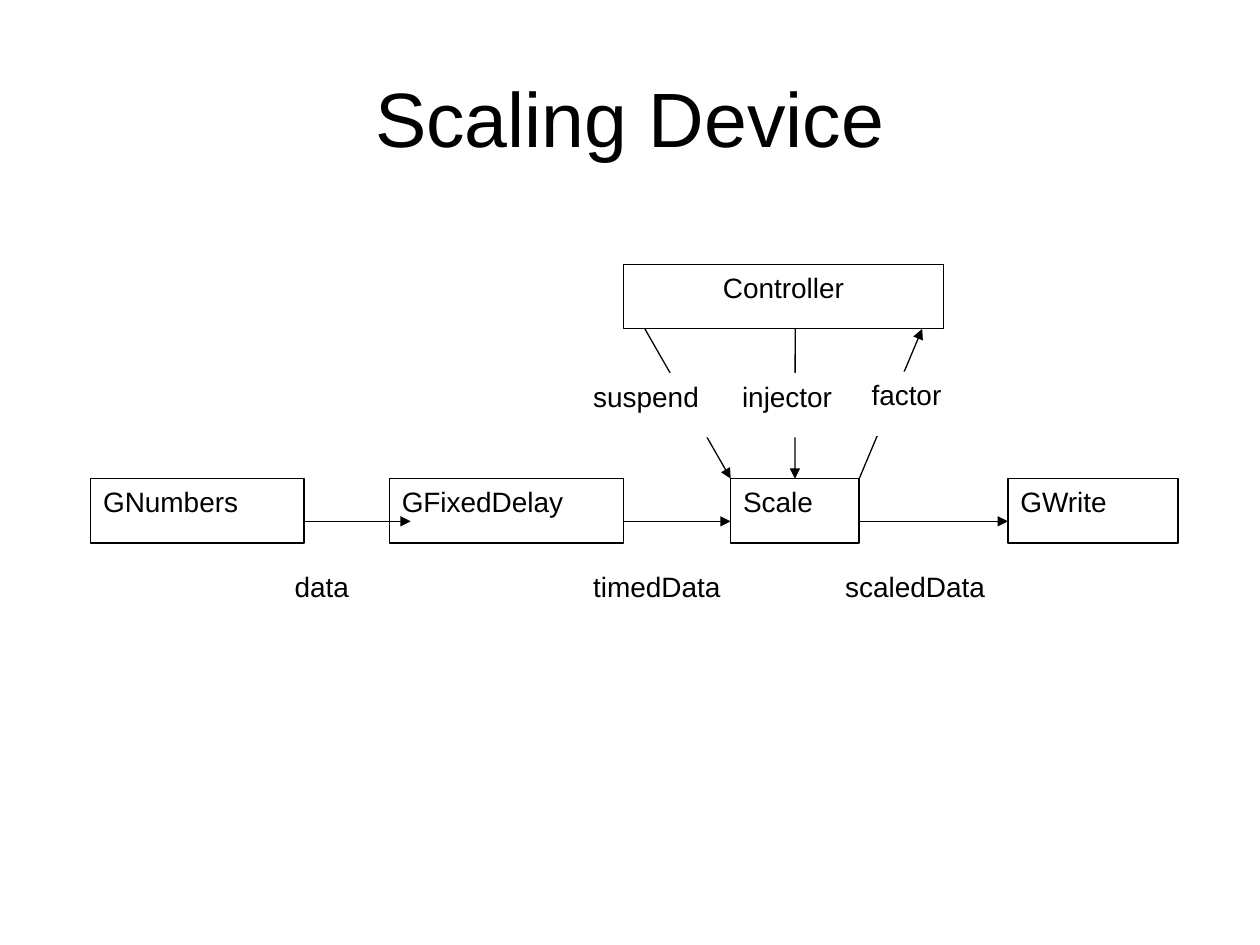
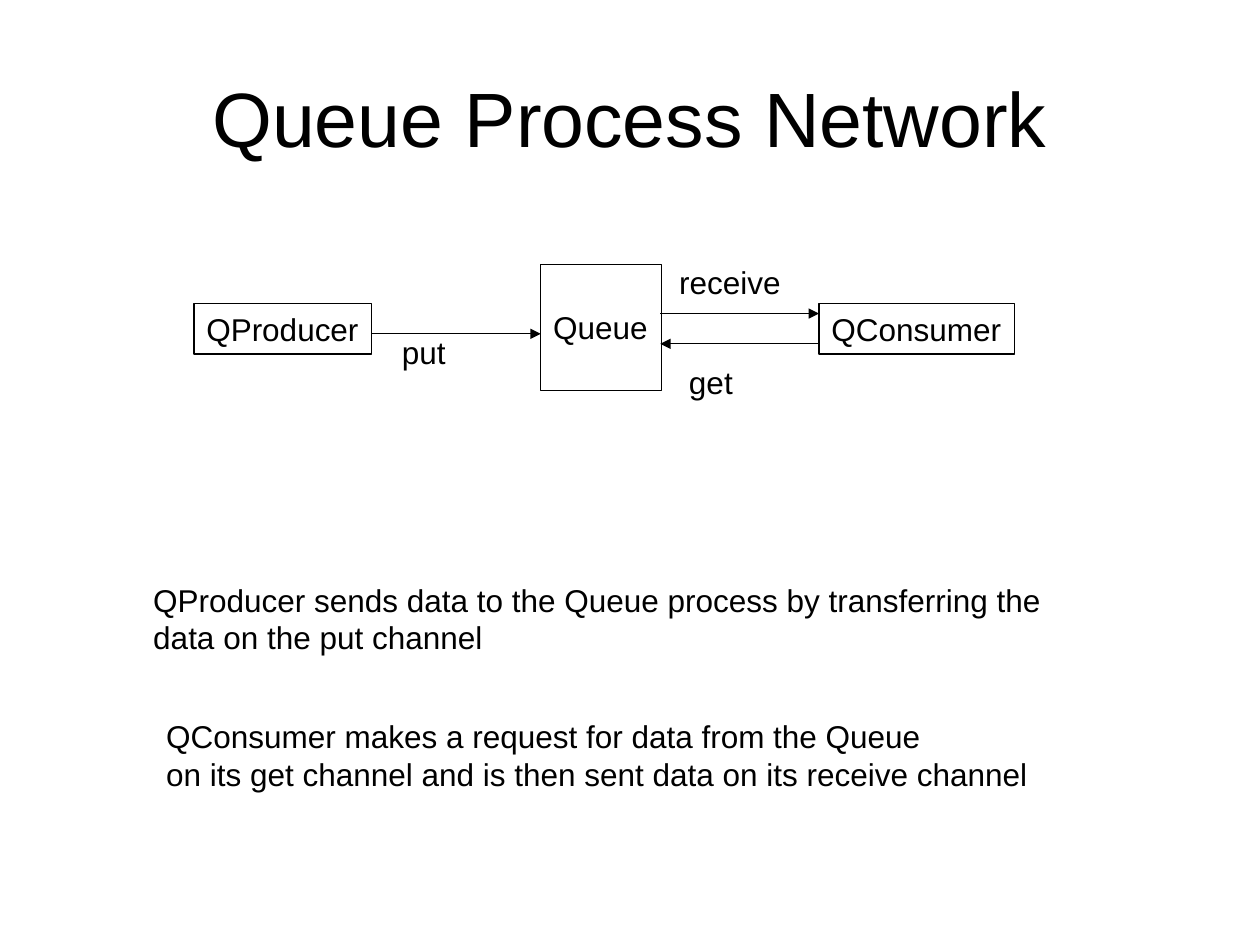
from lxml import etree
from pptx import Presentation
from pptx import util as u
from pptx.dml import color
from pptx.enum import shapes, text
from pptx.oxml import ns

BLACK, WHITE = "000000", "FFFFFF"
FONT = "Arial"
LINE_WIDTH = u.Pt(0.75)
TITLE_PLACE = (1.27, 0.76, 22.86, 3.18)
LEFT, CENTER = text.PP_ALIGN.LEFT, text.PP_ALIGN.CENTER
TOP, MIDDLE = text.MSO_ANCHOR.TOP, text.MSO_ANCHOR.MIDDLE


def rgb(value):
    return color.RGBColor.from_string(value)


def write(shape, words, size, align=LEFT, anchor=TOP, wrap=True):
    """Put one formatted paragraph in a shape; \\v marks a line break."""
    frame = shape.text_frame
    frame.word_wrap = wrap
    frame.vertical_anchor = anchor
    paragraph = frame.paragraphs[0]
    paragraph.text = words
    paragraph.alignment = align
    for name, value in {"name": FONT, "size": u.Pt(size)}.items():
        setattr(paragraph.font, name, value)
    paragraph.font.color.rgb = rgb(BLACK)


def add_titled_slide(presentation, title):
    slide = presentation.slides.add_slide(presentation.slide_layouts[5])
    shape = slide.shapes.title
    for name, value in zip(("left", "top", "width", "height"), TITLE_PLACE):
        setattr(shape, name, u.Cm(value))
    write(shape, title, 44, CENTER, MIDDLE)
    return slide


def add_box(slide, words, place, size, fill=None, outline=True, **layout):
    """Add a rectangle holding text, at left, top, width, height in cm."""
    shape = slide.shapes.add_shape(
        shapes.MSO_SHAPE.RECTANGLE, *(u.Cm(value) for value in place))
    shape.shadow.inherit = False
    if fill:
        shape.fill.solid()
        shape.fill.fore_color.rgb = rgb(fill)
    else:
        shape.fill.background()
    if outline:
        shape.line.color.rgb = rgb(BLACK)
        shape.line.width = LINE_WIDTH
    else:
        shape.line.fill.background()
    write(shape, words, size, **layout)
    return shape


def add_note(slide, words, place):
    box = slide.shapes.add_textbox(*(u.Cm(value) for value in place))
    write(box, words, 18, wrap=False)


def add_arrow(slide, *ends):
    """Add an arrow from x1, y1 to x2, y2 in cm."""
    arrow = slide.shapes.add_connector(
        shapes.MSO_CONNECTOR.STRAIGHT, *(u.Cm(value) for value in ends))
    arrow.line.color.rgb = rgb(BLACK)
    arrow.line.width = LINE_WIDTH
    etree.SubElement(arrow.line._get_or_add_ln(), ns.qn("a:tailEnd"), type="triangle")
    etree.SubElement(arrow._element.spPr, ns.qn("a:effectLst"))
    return arrow


def build_scaling_device(presentation):
    slide = add_titled_slide(presentation, "Scaling Device")
    row_top, box_height, controller_top = 9.65, 1.3, 5.33
    controller_bottom = controller_top + box_height

    # Processes
    processes = {}
    for name, left, width in (("GNumbers", 1.83, 4.3), ("GFixedDelay", 7.85, 4.72),
                              ("Scale", 14.73, 2.59), ("GWrite", 20.32, 3.43)):
        processes[name] = add_box(
            slide, name, (left, row_top, width, box_height), 16, WHITE)
    add_box(slide, "Controller", (12.57, controller_top, 6.45, box_height),
            16, WHITE, align=CENTER)

    # Data channels along the row
    for start, end in ((6.13, 8.28), (12.57, 14.73), (17.32, 20.32)):
        add_arrow(slide, start, 10.51, end, 10.51)

    # Control channels
    add_arrow(slide, 13, controller_bottom, 14.73, row_top)
    injector = add_arrow(slide, 16.03, controller_bottom, 16.03, row_top)
    injector.end_connect(processes["Scale"], 0)
    add_arrow(slide, 17.32, row_top, 18.59, controller_bottom)

    # Channel names, masking the middle of the control arrows
    for name, left, top, width in (
            ("data", 5.69, 11.35, 2.16), ("timedData", 11.71, 11.35, 3.86),
            ("scaledData", 16.79, 11.35, 4.32), ("factor", 17.32, 7.49, 3),
            ("injector", 14.71, 7.52, 2.57), ("suspend", 11.71, 7.52, 2.84)):
        add_box(slide, name, (left, top, width, box_height), 16, WHITE, outline=False)


def build_queue_network(presentation):
    slide = add_titled_slide(presentation, "Queue Process Network")

    # Processes
    for name, place in (("QProducer", (3.91, 6.12, 3.58, 1.02)),
                        ("Queue", (10.9, 5.33, 2.44, 2.54)),
                        ("QConsumer", (16.51, 6.12, 3.94, 1.02))):
        add_box(slide, name, place, 18, anchor=MIDDLE, wrap=False)

    # Channels: put, get, receive
    add_arrow(slide, 7.49, 6.73, 10.9, 6.73)
    add_arrow(slide, 16.51, 6.93, 13.31, 6.93)
    add_arrow(slide, 13.31, 6.32, 16.51, 6.32)

    # Channel names and explanations
    for words, place in (
            ("put", (7.85, 6.58, 1.4, 1.02)),
            ("get", (13.64, 7.19, 1.4, 1.02)),
            ("receive", (13.44, 5.18, 2.8, 1.02)),
            ("QConsumer makes a request for data from the Queue\v"
             "on its get channel and is then sent data on its receive channel",
             (3.1, 14.33, 17.88, 1.78)),
            ("QProducer sends data to the Queue process by transferring the\v"
             "data on the put channel", (2.84, 11.58, 18.57, 1.78))):
        add_note(slide, words, place)


def main():
    presentation = Presentation()
    presentation.slide_width, presentation.slide_height = u.Cm(25.4), u.Cm(19.05)
    build_scaling_device(presentation)
    build_queue_network(presentation)
    presentation.save("out.pptx")


if __name__ == "__main__":
    main()
